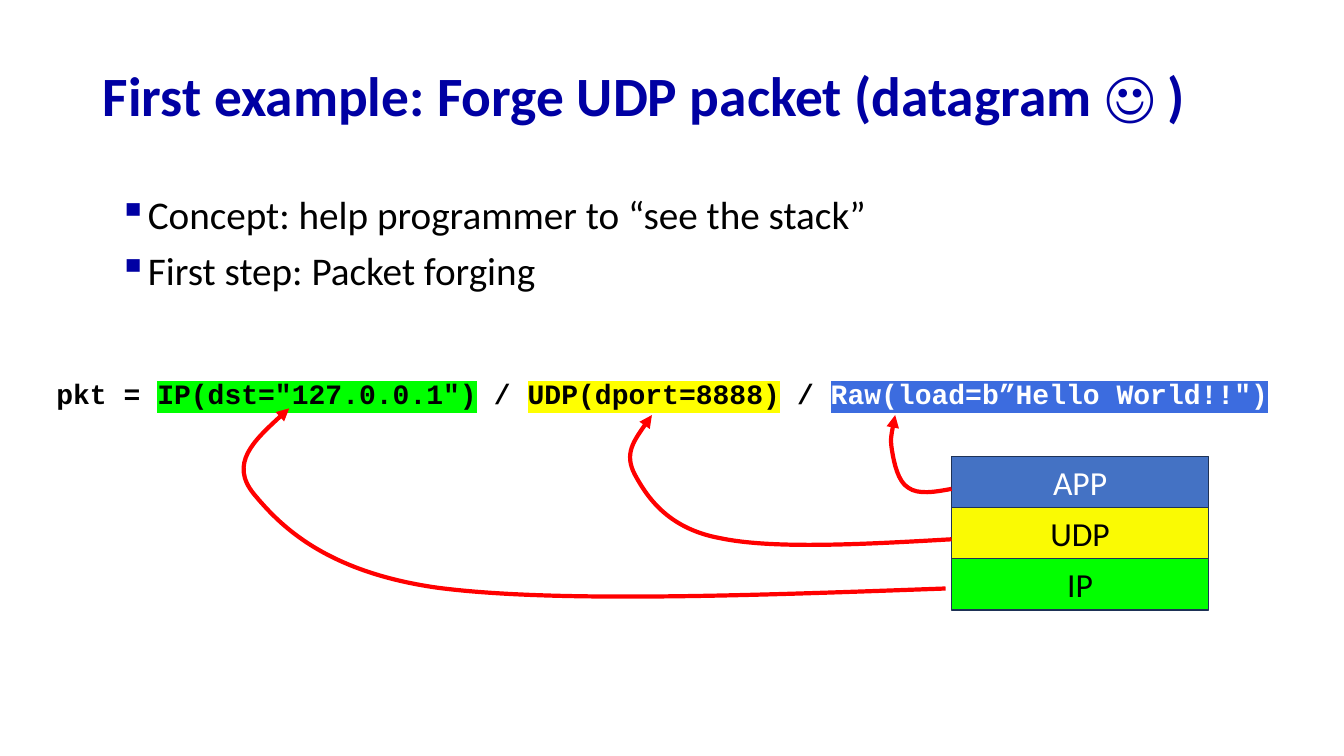
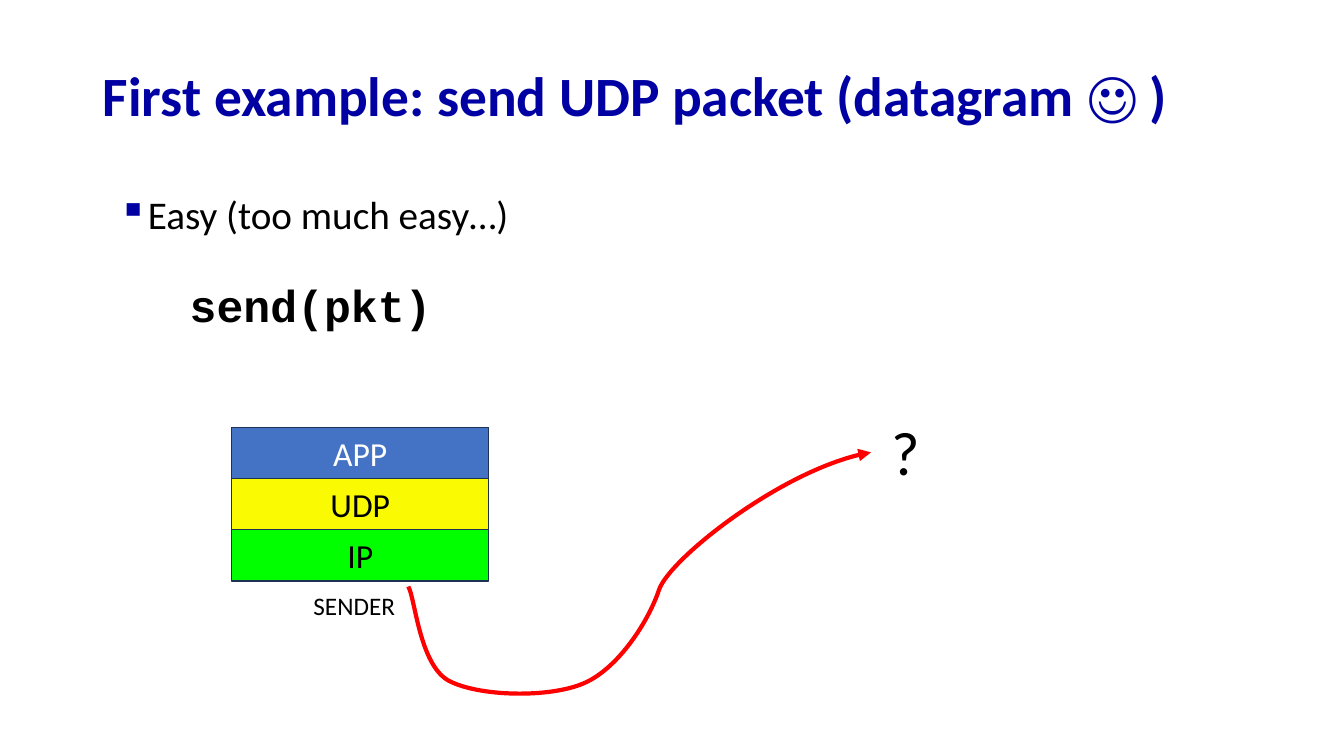
"""Build two slides on forging and sending a UDP packet."""
from pptx import Presentation
from pptx.dml.color import RGBColor
from pptx.enum.shapes import MSO_SHAPE as Shape
from pptx.enum.text import MSO_ANCHOR as Anchor, MSO_AUTO_SIZE as AutoSize, PP_ALIGN as Align
from pptx.oxml.ns import qn
from pptx.util import Cm, Pt
from lxml.etree import SubElement

COLORS = {
    "navy": "0000A3", "black": "000000", "white": "FFFFFF", "red": "FF0000",
    "outline": "1E3256", "app": "4472C4", "udp": "FAFA03", "ip": "02FF00",
    "green_mark": "00FF00", "yellow_mark": "FFFF00", "blue_mark": "3C6CDF",
}
SANS, MONO = "Calibri", "Courier New"
TITLE_BOX = (2.34, 1.24, 29.21, 2.49)
BODY_BOX = (2.34, 4.8, 29.21, 12.09)
LAYER_WIDTH, LAYER_HEIGHT = 6.48, 1.29
LAYERS = [("APP", "app", "white"), ("UDP", "udp", "black"), ("IP", "ip", "black")]

SLIDES = [
    {
        "title": "First example: Forge UDP packet (datagram ☺ )",
        "bullets": ["Concept: help programmer to “see the stack”", "First step: Packet forging"],
        "code_box": (0.81, 9.37, 33.05, 1.12),
        "code_size": 20,
        "code": [
            ("pkt = ", "black", None),
            ('IP(dst="127.0.0.1")', "black", "green_mark"),
            (" / ", "black", None),
            ("UDP(dport=8888)", "black", "yellow_mark"),
            (" / ", "black", None),
            ('Raw(load=b”Hello World!!")', "white", "blue_mark"),
        ],
        "stack": (23.98, 11.5),
        "labels": [],
        "arrows": [
            [(23.83, 14.83), (18.87, 15.01), (13.94, 15.19), (11.02, 14.81),
             (8.13, 14.4), (7.01, 13.18), (6.4, 12.45),
             (5.77, 11.68), (6.53, 10.97), (7.29, 10.29)],
            [(23.98, 13.59), (21.72, 13.72), (19.46, 13.84), (18.14, 13.56),
             (16.79, 13.31), (16.28, 12.47), (16, 11.96),
             (15.72, 11.43), (16.08, 10.95), (16.43, 10.46)],
            [(23.98, 12.32), (23.55, 12.4), (23.14, 12.47), (22.89, 12.29),
             (22.63, 12.14), (22.53, 11.66), (22.48, 11.35),
             (22.43, 11.05), (22.5, 10.77), (22.56, 10.46)],
        ],
    },
    {
        "title": "First example: send UDP packet (datagram ☺ )",
        "bullets": ["Easy (too much easy…)"],
        "code_box": (4.17, 6.88, 10, 1.63),
        "code_size": 32,
        "code": [("send(pkt)", "black", None)],
        "stack": (5.84, 10.77),
        "labels": [("SENDER", 18, (7.65, 14.76, 2.59, 1.02)), ("?", 44, (22.23, 10.31, 1.24, 2.13))],
        "arrows": [
            [(10.29, 14.78), (10.46, 15.06), (10.57, 16.74), (11.3, 17.15),
             (12.04, 17.55), (13.82, 17.6), (14.71, 17.22),
             (15.6, 16.84), (16.36, 15.62), (16.61, 14.86),
             (16.87, 14.1), (19.81, 11.76), (21.95, 11.4)],
        ],
    },
]


def color(name):
    return RGBColor.from_string(COLORS[name])


def add_run(paragraph, text, size, ink="black", font=SANS, bold=False, mark=None):
    run = paragraph.add_run()
    run.text = text
    run.font.name, run.font.size, run.font.bold = font, Pt(size), bold
    run.font.color.rgb = color(ink)
    if mark:
        properties = run.font._element
        highlight = SubElement(properties, qn("a:highlight"))
        SubElement(highlight, qn("a:srgbClr"), val=COLORS[mark])
        properties.find(qn("a:solidFill")).addnext(highlight)


def add_text_box(slide, box, wrap=True):
    frame = slide.shapes.add_textbox(*map(Cm, box)).text_frame
    frame.word_wrap = wrap
    return frame


def set_title(slide, text):
    title = slide.shapes.title
    title.left, title.top, title.width, title.height = map(Cm, TITLE_BOX)
    frame = title.text_frame
    frame.auto_size, frame.vertical_anchor = AutoSize.NONE, Anchor.MIDDLE
    paragraph = frame.paragraphs[0]
    paragraph.alignment, paragraph.line_spacing = Align.LEFT, 0.9
    add_run(paragraph, text, 39.6, "navy", bold=True)


def add_bullets(slide, bullets):
    frame = add_text_box(slide, BODY_BOX)
    for index, text in enumerate(bullets):
        paragraph = frame.add_paragraph() if index else frame.paragraphs[0]
        properties = paragraph._p.get_or_add_pPr()
        properties.set("marL", str(Cm(1)))
        properties.set("indent", str(Cm(-0.6)))
        bullet_color = SubElement(properties, qn("a:buClr"))
        SubElement(bullet_color, qn("a:srgbClr"), val=COLORS["navy"])
        SubElement(properties, qn("a:buChar"), char="▪")
        paragraph.line_spacing = 0.9
        if index:
            paragraph.space_before = Pt(10)
        add_run(paragraph, text, 28)


def add_code(slide, box, size, pieces):
    paragraph = add_text_box(slide, box).paragraphs[0]
    paragraph._p.get_or_add_pPr().set("marL", str(Cm(0.36)))
    for text, ink, mark in pieces:
        add_run(paragraph, text, size, ink, MONO, True, mark)


def add_stack(slide, left, top):
    for index, (name, fill, ink) in enumerate(LAYERS):
        box = (left, top + index * LAYER_HEIGHT, LAYER_WIDTH, LAYER_HEIGHT)
        layer = slide.shapes.add_shape(Shape.RECTANGLE, *map(Cm, box))
        layer.shadow.inherit = False
        layer.fill.solid()
        layer.fill.fore_color.rgb = color(fill)
        layer.line.color.rgb = color("outline")
        layer.line.width = Pt(1)
        layer.text_frame.vertical_anchor = Anchor.MIDDLE
        paragraph = layer.text_frame.paragraphs[0]
        paragraph.alignment = Align.CENTER
        add_run(paragraph, name, 24, ink)


def add_curved_arrow(slide, points):
    """Draw cubic curves through a start point and triples of control, control, end."""
    start, *rest = [(Cm(x), Cm(y)) for x, y in points]
    builder = slide.shapes.build_freeform(*start)
    builder.add_line_segments(rest, close=False)
    arrow = builder.convert_to_shape()
    arrow.shadow.inherit = False
    arrow.fill.background()
    arrow.line.color.rgb = color("red")
    arrow.line.width = Pt(3)
    properties = arrow._element.spPr
    SubElement(properties.find(qn("a:ln")), qn("a:tailEnd"), type="triangle")
    outline = next(properties.iter(qn("a:path")))
    segments = outline.findall(qn("a:lnTo"))
    for first in range(0, len(segments), 3):
        curve = SubElement(outline, qn("a:cubicBezTo"))
        for segment in segments[first:first + 3]:
            curve.append(segment[0])
            outline.remove(segment)


def build_slide(presentation, content):
    slide = presentation.slides.add_slide(presentation.slide_layouts[5])
    set_title(slide, content["title"])
    add_bullets(slide, content["bullets"])
    add_code(slide, content["code_box"], content["code_size"], content["code"])
    add_stack(slide, *content["stack"])
    for text, size, box in content["labels"]:
        add_run(add_text_box(slide, box, wrap=False).paragraphs[0], text, size)
    for points in content["arrows"]:
        add_curved_arrow(slide, points)


def main():
    presentation = Presentation()
    presentation.slide_width, presentation.slide_height = Cm(33.87), Cm(19.05)
    for content in SLIDES:
        build_slide(presentation, content)
    presentation.save("out.pptx")


if __name__ == "__main__":
    main()
